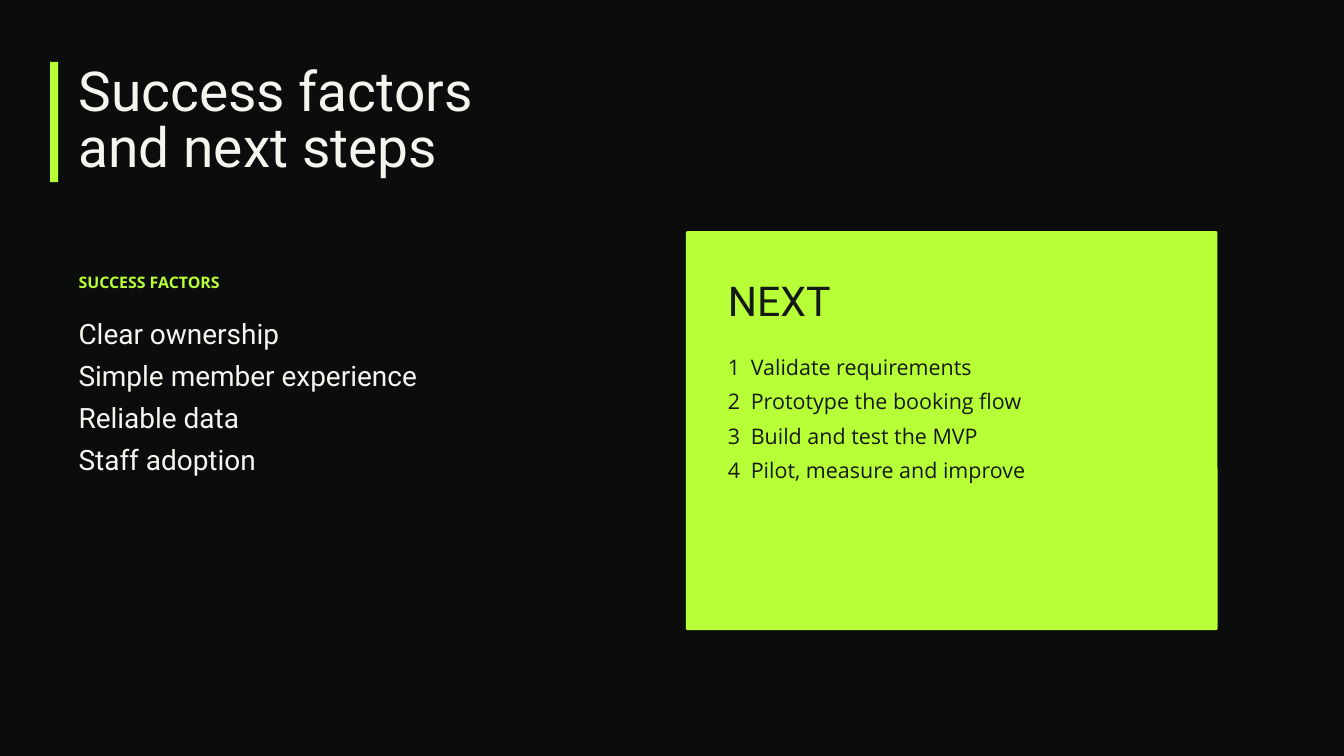
from lxml.etree import SubElement
from pptx import Presentation
from pptx.dml.color import RGBColor
from pptx.enum.shapes import MSO_SHAPE
from pptx.enum.text import MSO_ANCHOR, MSO_AUTO_SIZE, PP_ALIGN
from pptx.oxml.ns import qn
from pptx.util import Cm, Pt

INK, LIME, LIGHT, DARK = "0B0D0C", "B7FF36", "F3F5EF", "151916"


def paint(fmt, color):
    if hasattr(fmt, "solid"):
        fmt.solid()
        fmt.fore_color.rgb = RGBColor.from_string(color)
    else:
        fmt.color.rgb = RGBColor.from_string(color)


def write(sp, lines, font, size, color, spacing, bold=False, numbered=False):
    tf = sp.text_frame
    tf.text = "\n".join(lines)
    tf.word_wrap = True
    tf.auto_size = MSO_AUTO_SIZE.NONE
    tf.vertical_anchor = MSO_ANCHOR.TOP
    tf.margin_left = tf.margin_top = tf.margin_right = tf.margin_bottom = 0
    for p in tf.paragraphs:
        if numbered:
            pPr = p._p.get_or_add_pPr()
            pPr.set("marL", str(Cm(0.87)))
            pPr.set("indent", str(-Cm(0.87)))
            SubElement(pPr, qn("a:buFont"), typeface=font)
            SubElement(pPr, qn("a:buAutoNum"), type="arabicPlain")
        p.alignment = PP_ALIGN.LEFT
        p.line_spacing = Pt(spacing)
        p.space_before = p.space_after = Pt(0)
        for r in p.runs:
            r.font.name = font
            r.font.size = Pt(size)
            r.font.bold = bold
            paint(r.font, color)


prs = Presentation()
prs.slide_width, prs.slide_height = Cm(50.8), Cm(28.575)
s = prs.slides.add_slide(prs.slide_layouts[5])
paint(s.background.fill, INK)

title = s.shapes.title
title.left, title.top, title.width, title.height = Cm(2.97), Cm(2.54), Cm(39.7), Cm(4.22)
write(title, ["Success factors", "and next steps"], "Roboto", 59, LIGHT, 59.6)

for shape, box in [
    (MSO_SHAPE.RECTANGLE, (1.9, 2.34, 0.3, 4.55)),
    (MSO_SHAPE.ROUNDED_RECTANGLE, (25.93, 8.74, 20.09, 15.08)),
]:
    sp = s.shapes.add_shape(shape, *map(Cm, box))
    sp.shadow.inherit = False
    sp.line.fill.background()
    paint(sp.fill, LIME)
    if shape == MSO_SHAPE.ROUNDED_RECTANGLE:
        sp.adjustments[0] = 0.004

factors = ["Clear ownership", "Simple member experience", "Reliable data", "Staff adoption"]
steps = [
    "Validate requirements",
    "Prototype the booking flow",
    "Build and test the MVP",
    "Pilot, measure and improve",
]
for box, lines, font, size, color, spacing, bold, numbered in [
    ((2.97, 10.21, 17.2, 0.81), ["SUCCESS FACTORS"], "Open Sans", 17, LIME, 23.1, True, False),
    ((2.97, 11.63, 17.2, 6.38), factors, "Roboto", 30, LIGHT, 45, False, False),
    ((27.51, 10.13, 16.92, 2.16), ["NEXT"], "Roboto", 44, DARK, 60.9, False, False),
    ((27.51, 13.03, 16.41, 5.26), steps, "Open Sans", 23, DARK, 37.1, False, True),
]:
    sp = s.shapes.add_textbox(*map(Cm, box))
    write(sp, lines, font, size, color, spacing, bold, numbered)

prs.save("out.pptx")
